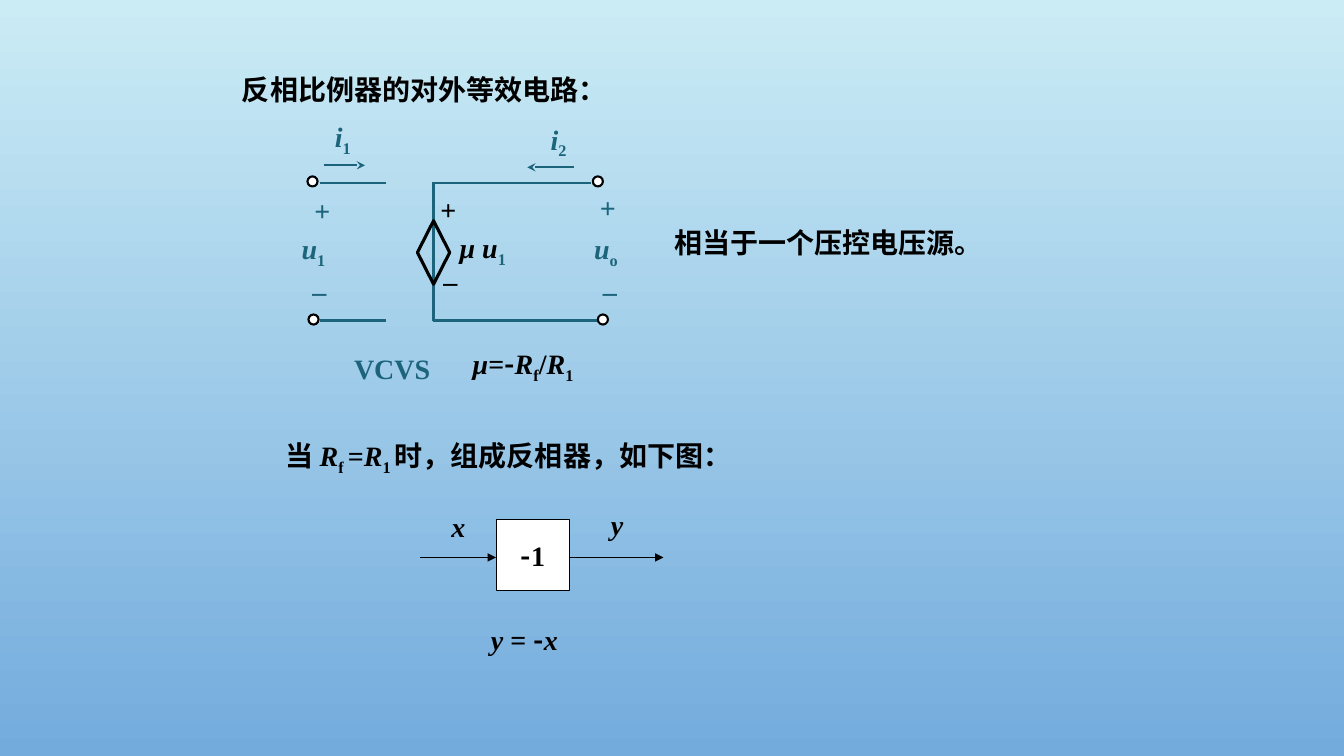
from dataclasses import dataclass
from typing import NamedTuple

import lxml.etree
import pptx
import pptx.dml.color
import pptx.enum.shapes
import pptx.enum.text
import pptx.oxml.ns
import pptx.util

SHAPE = pptx.enum.shapes.MSO_SHAPE
ALIGN = pptx.enum.text.PP_ALIGN
ANCHOR = pptx.enum.text.MSO_ANCHOR
AUTOSIZE = pptx.enum.text.MSO_AUTO_SIZE

COLORS = {
    "sky_top": "CBECF5",
    "sky_bottom": "73ABDD",
    "ink": "000000",
    "circuit": "1C647B",
    "paper": "FFFFFF",
}
LATIN = "Times New Roman"
CJK = "Noto Sans CJK SC"
SLIDE_W = pptx.util.Inches(13.33)
SLIDE_H = pptx.util.Inches(7.5)
COL = SLIDE_W / 133.3
ROW = SLIDE_H / 75
TEXT_ROWS = 4.4
TEXT_SIZE = 20
TERMINAL_SIZE = 1.0


class Run(NamedTuple):
    text: str
    italic: bool = False
    sub: bool = False
    font: str = LATIN
    color: str = ""


@dataclass
class Label:
    col: float
    row: float
    cols: float
    runs: list[Run]
    color: str = "ink"
    centered: bool = False
    wrap: bool = False


@dataclass
class Line:
    start: tuple[float, float]
    end: tuple[float, float]
    color: str = "circuit"
    width: float = 1.5
    arrow: str = ""


@dataclass
class Outline:
    kind: SHAPE
    col: float
    row: float
    cols: float
    rows: float
    width: float
    fill: str = "paper"


def x(cols: float) -> int:
    return round(cols * COL)


def y(rows: float) -> int:
    return round(rows * ROW)


def rgb(name: str) -> pptx.dml.color.RGBColor:
    return pptx.dml.color.RGBColor.from_string(COLORS[name])


def var(text: str, sub: str = "") -> list[Run]:
    return [Run(text, italic=True)] + ([Run(sub, sub=True)] if sub else [])


def circuit_label(col: float, row: float, cols: float, runs: list[Run]) -> Label:
    return Label(col, row, cols, runs, "circuit", centered=True, wrap=True)


def write_runs(p, runs: list[Run], color: str) -> None:
    for run in runs:
        r = p.add_run()
        r.text = run.text
        r.font.name = run.font
        r.font.size = pptx.util.Pt(TEXT_SIZE)
        r.font.bold = True
        r.font.italic = run.italic
        r.font.color.rgb = rgb(run.color or color)
        rpr = r.font._element
        if run.sub:
            rpr.set("baseline", "-25000")
        ea = lxml.etree.SubElement(rpr, pptx.oxml.ns.qn("a:ea"))
        ea.set("typeface", CJK)


def fill_label(sp, label: Label) -> None:
    tf = sp.text_frame
    tf.word_wrap = label.wrap
    tf.auto_size = AUTOSIZE.SHAPE_TO_FIT_TEXT
    tf.vertical_anchor = ANCHOR.MIDDLE if label.centered else ANCHOR.TOP
    p = tf.paragraphs[0]
    p.alignment = ALIGN.CENTER if label.centered else ALIGN.LEFT
    write_runs(p, label.runs, label.color)


def add_title(s, label: Label) -> None:
    sp = s.shapes.title
    sp.left, sp.top = x(label.col), y(label.row)
    sp.width, sp.height = x(label.cols), y(TEXT_ROWS)
    fill_label(sp, label)


def add_label(s, label: Label) -> None:
    sp = s.shapes.add_textbox(x(label.col), y(label.row), x(label.cols), y(TEXT_ROWS))
    fill_label(sp, label)


def add_line(s, line: Line) -> None:
    (x1, y1), (x2, y2) = line.start, line.end
    kind = pptx.enum.shapes.MSO_CONNECTOR.STRAIGHT
    cx = s.shapes.add_connector(kind, x(x1), y(y1), x(x2), y(y2))
    cx.line.color.rgb = rgb(line.color)
    cx.line.width = pptx.util.Pt(line.width)
    if line.arrow:
        tail = lxml.etree.SubElement(cx.line._get_or_add_ln(), pptx.oxml.ns.qn("a:tailEnd"))
        tail.set("type", line.arrow)
    lxml.etree.SubElement(cx._element.spPr, pptx.oxml.ns.qn("a:effectLst"))


def add_outline(s, item: Outline):
    sp = s.shapes.add_shape(item.kind, x(item.col), y(item.row), x(item.cols), y(item.rows))
    sp.shadow.inherit = False
    if item.fill:
        sp.fill.solid()
        sp.fill.fore_color.rgb = rgb(item.fill)
    else:
        sp.fill.background()
    sp.line.color.rgb = rgb("ink")
    sp.line.width = pptx.util.Pt(item.width)
    return sp


def paint_background(s) -> None:
    fill = s.background.fill
    fill.gradient()
    fill.gradient_angle = 270
    for stop, name in zip(fill.gradient_stops, ("sky_top", "sky_bottom")):
        stop.color.rgb = rgb(name)


MINUS = Run("-", font=CJK)
PLUS, UNDERSCORE = [Run("+")], [Run("_")]
TITLE = Label(23, 6.7, 38.2, [Run("反相比例器的对外等效电路：")])
INVERTER = Outline(SHAPE.RECTANGLE, 49.2, 51.5, 7.3, 7.1, 0.75)
SOURCE = Outline(SHAPE.DIAMOND, 41.4, 21.9, 3.2, 6.3, 2.25, fill="")
TERMINALS = [(30.5, 17.5), (30.6, 31.2), (58.8, 17.5), (59.3, 31.2)]

LINES = [
    Line((41.7, 55.3), (49.2, 55.3), "ink", 0.75, "triangle"),
    Line((56.5, 55.3), (65.8, 55.3), "ink", 0.75, "triangle"),
    Line((43, 18.1), (43, 31.8)),
    Line((42.9, 31.8), (59.5, 31.8)),
    Line((42.9, 18.2), (58.6, 18.2)),
    Line((31.7, 18.2), (38.3, 18.2)),
    Line((38.3, 31.8), (31.7, 31.8)),
    Line((32.1, 16.4), (36.2, 16.4), arrow="stealth"),
    Line((56.9, 16.6), (52.3, 16.6), arrow="stealth"),
]

LABELS = [
    Label(65.9, 21.9, 32.6, [Run("相当于一个压控电压源。")]),
    Label(27.3, 43, 46.6, [Run("当 "), *var("R", "f "), Run("="), *var("R", "1 "),
                           Run("时，组成反相器，如下图：")]),
    Label(47.7, 61.3, 9.1, [*var("y "), Run("= "), MINUS, *var("x")]),
    Label(43.8, 50.1, 3.4, var("x")),
    Label(59.6, 49.9, 3.2, var("y")),
    circuit_label(30.2, 18.7, 2, PLUS),
    circuit_label(30, 25.7, 2.5, UNDERSCORE),
    circuit_label(28.3, 22.7, 5.6, var("u", "1")),
    circuit_label(31, 11.6, 6, var("i", "1")),
    circuit_label(58.5, 18.4, 2.5, PLUS),
    circuit_label(58.8, 25.7, 2.5, UNDERSCORE),
    circuit_label(57.3, 22.7, 5.6, var("u", "o")),
    circuit_label(52.9, 11.8, 5, var("i", "2")),
    circuit_label(31.8, 34.3, 14.2, [Run("VCVS")]),
    Label(44.6, 22.4, 8, [*var("μ u"), Run("1", sub=True, color="circuit")], wrap=True),
    Label(42.7, 18.6, 3.6, PLUS),
    Label(43, 24.8, 3.4, UNDERSCORE),
    Label(45.9, 33.9, 15.2, [*var("μ"), Run("="), MINUS, *var("R", "f"), Run("/"),
                             *var("R", "1")], wrap=True),
]


def main() -> None:
    prs = pptx.Presentation()
    prs.slide_width, prs.slide_height = SLIDE_W, SLIDE_H
    s = prs.slides.add_slide(prs.slide_layouts.get_by_name("Title Only"))
    paint_background(s)
    add_title(s, TITLE)
    tf = add_outline(s, INVERTER).text_frame
    tf.word_wrap = False
    tf.vertical_anchor = ANCHOR.MIDDLE
    tf.paragraphs[0].alignment = ALIGN.CENTER
    write_runs(tf.paragraphs[0], [MINUS, Run("1")], "ink")
    for line in LINES:
        add_line(s, line)
    for label in LABELS:
        add_label(s, label)
    add_outline(s, SOURCE)
    for col, row in TERMINALS:
        add_outline(s, Outline(SHAPE.OVAL, col, row, TERMINAL_SIZE, TERMINAL_SIZE, 1.5))
    prs.save("out.pptx")


if __name__ == "__main__":
    main()
